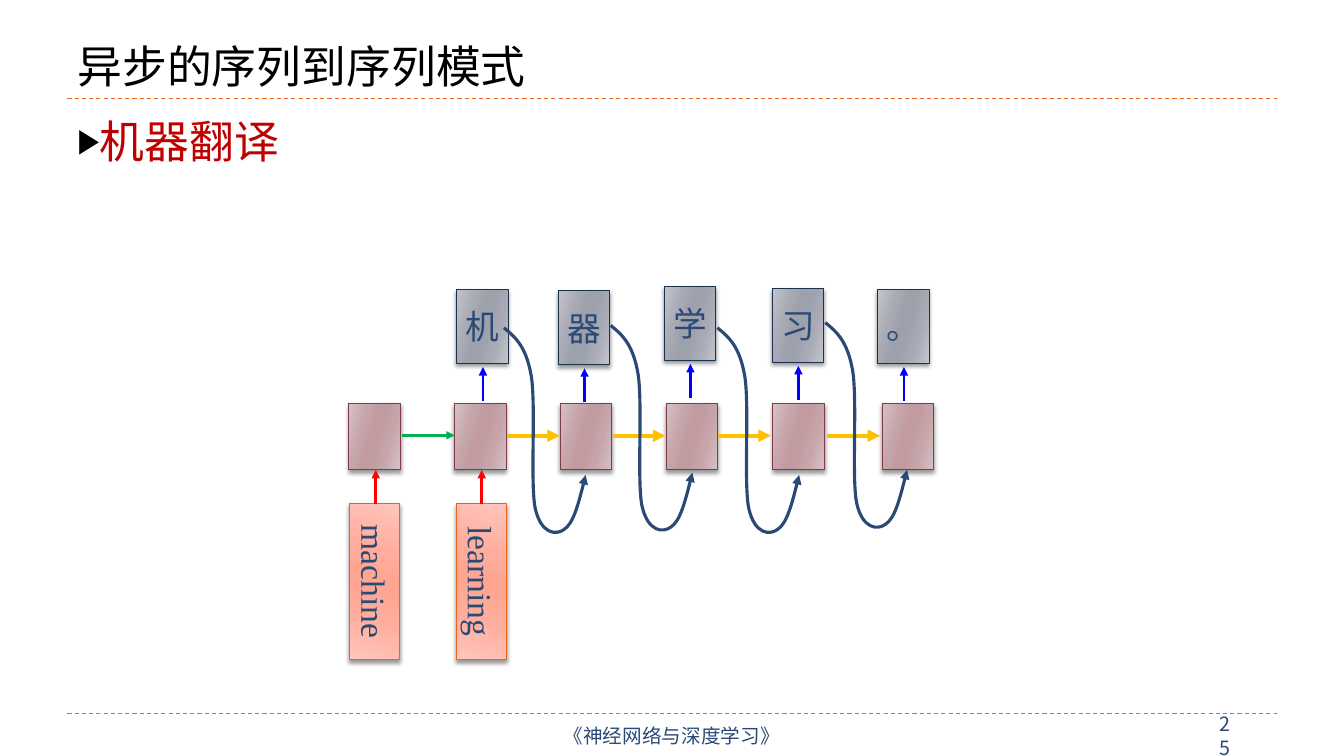
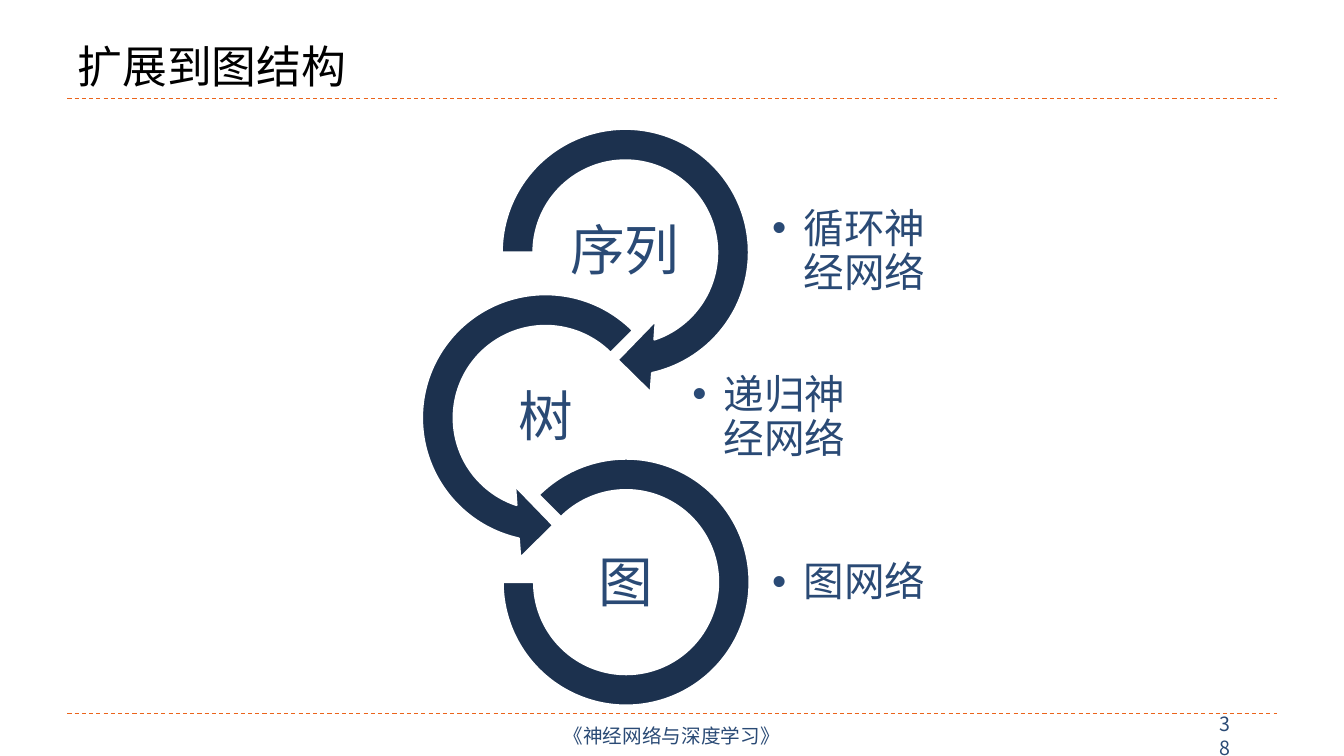
from lxml import etree
from pptx import Presentation
from pptx.dml.color import RGBColor
from pptx.enum.dml import MSO_LINE
from pptx.enum.shapes import MSO_CONNECTOR, MSO_SHAPE
from pptx.enum.text import MSO_ANCHOR, MSO_AUTO_SIZE, PP_ALIGN
from pptx.oxml.ns import qn
from pptx.util import Cm, Pt

TOP, MIDDLE, BOTTOM = MSO_ANCHOR.TOP, MSO_ANCHOR.MIDDLE, MSO_ANCHOR.BOTTOM
LEFT, CENTER = PP_ALIGN.LEFT, PP_ALIGN.CENTER
STRAIGHT, DASH = MSO_CONNECTOR.STRAIGHT, MSO_LINE.DASH
RECTANGLE = MSO_SHAPE.RECTANGLE

INK, NAVY, ORANGE, RED = "2A4A75", "1C314E", "EB641B", "C00000"
HAN, SERIF, SANS = "Noto Sans CJK SC", "Times New Roman", "Arial"
STOPS = (0, 30, 45, 55, 73, 100)  # glossy gradient, light at both ends
color = RGBColor.from_string


def write(box, text, size, font, ink=INK, align=LEFT, anchor=TOP, insets=None, spacing=None, bullet=None):
    """Fill a box with one paragraph; bullet is (sign, indent in cm, size %, colour)."""
    frame = box.text_frame
    frame.word_wrap = True
    frame.auto_size = MSO_AUTO_SIZE.NONE
    frame.vertical_anchor = anchor
    if insets:
        frame.margin_left, frame.margin_top, frame.margin_right, frame.margin_bottom = map(Cm, insets)
    para = frame.paragraphs[0]
    para.alignment = align
    if spacing:
        para.line_spacing = spacing
    if bullet:
        sign, indent, percent, sign_color = bullet
        props = para._p.get_or_add_pPr()
        props.set("marL", str(Cm(indent)))
        props.set("indent", str(-Cm(indent)))
        holder = etree.SubElement(props, qn("a:buClr"))
        etree.SubElement(holder, qn("a:srgbClr"), val=sign_color)
        etree.SubElement(props, qn("a:buSzPct"), val=str(percent * 1000))
        etree.SubElement(props, qn("a:buFont"), typeface=SANS)
        etree.SubElement(props, qn("a:buChar"), char=sign)
    span = para.add_run()
    span.text = text
    span.font.size = Pt(size)
    span.font.color.rgb = color(ink)
    span.font.name = font
    etree.SubElement(span._r.get_or_add_rPr(), qn("a:ea"), typeface=HAN)


def draw_line(page, x1, y1, x2, y2, ink, width, dashed=False):
    """Draw a dashed rule or a solid arrow."""
    link = page.shapes.add_connector(STRAIGHT, Cm(x1), Cm(y1), Cm(x2), Cm(y2))
    link.line.color.rgb = color(ink)
    link.line.width = Pt(width)
    if dashed:
        link.line.dash_style = DASH
    else:
        etree.SubElement(link.line._get_or_add_ln(), qn("a:tailEnd"), type="triangle")
    etree.SubElement(link._element.spPr, qn("a:effectLst"))


deck = Presentation()
deck.slide_width, deck.slide_height = Cm(33.87), Cm(19.05)

# Title, rules and footer of every slide
pages = []
for heading, number in (("异步的序列到序列模式", "25"), ("扩展到图结构", "38")):
    page = deck.slides.add_slide(deck.slide_layouts[5])
    pages.append(page)
    for y in (2.49, 17.98):
        draw_line(page, 1.7, y, 32.18, y, ORANGE, 0.75, dashed=True)
    title = page.shapes.title
    title.left, title.top, title.width, title.height = Cm(1.7), Cm(0.43), Cm(30.48), Cm(2.03)
    write(title, heading, 32, SANS, "000000", anchor=BOTTOM)
    footer = page.shapes.add_textbox(Cm(11.43), Cm(18.03), Cm(11), Cm(1.02))
    write(footer, "《神经网络与深度学习》", 14, HAN, align=CENTER, anchor=MIDDLE, insets=(0, 0, 0, 0))
    page_number = page.shapes.add_textbox(Cm(30.48), Cm(18.11), Cm(1.04), Cm(0.86))
    write(page_number, number, 14, HAN, anchor=MIDDLE)

translation, structures = pages

# Slide 1: topic line
topic = translation.shapes.add_textbox(Cm(1.7), Cm(2.74), Cm(30.48), Cm(1.9))
write(topic, "机器翻译", 32, SERIF, RED, bullet=("▶", 0.43, 76, "000000"))

# Slide 1: glossy boxes for input words, hidden states and output characters
INPUT = (("FFC6BC", "FFAE9E", "FFA693"), ORANGE)
STATE = (("D7C2C5", "C6A5AA", "C19BA0"), "7D3C4A")
OUTPUT = (("C3C5CB", "A7AAB4", "9DA1AC"), NAVY)
words = [(7.47, "machine"), (10.16, "learning")]
states = [8.79, 11.46, 14.12, 16.79, 19.48, 22.23]
outputs = [(11.51, 7.29, "机"), (14.07, 7.32, "器"), (16.74, 7.21, "学"),
           (19.46, 7.26, "习"), (22.12, 7.29, "。")]

glossy = [(x, 14.02, 3.94, 1.27, 90, INPUT, word) for x, word in words]
glossy += [(x, 10.16, 1.3, 1.68, 0, STATE, "") for x in states]
glossy += [(x, y, 1.3, 1.87, 0, OUTPUT, sign) for x, y, sign in outputs]
for x, y, width, height, turn, (tints, edge), text in glossy:
    box = translation.shapes.add_shape(RECTANGLE, Cm(x), Cm(y), Cm(width), Cm(height))
    box.rotation = turn
    box.fill.gradient()
    box.fill.gradient_angle = 344
    stop_list = box._element.spPr.find(".//" + qn("a:gsLst"))
    for stop in list(stop_list):
        stop_list.remove(stop)
    for position, tint in zip(STOPS, tints + tints[::-1]):
        stop = etree.SubElement(stop_list, qn("a:gs"), pos=str(position * 1000))
        etree.SubElement(stop, qn("a:srgbClr"), val=tint)
    box.line.color.rgb = color(edge)
    box.line.width = Pt(0.75)
    box.shadow.inherit = False
    effects = box._element.spPr.find(qn("a:effectLst"))
    shadow = etree.SubElement(effects, qn("a:outerShdw"), blurRad=str(Pt(3)), dist=str(Pt(2)),
                              dir="5400000", rotWithShape="0")
    shade = etree.SubElement(shadow, qn("a:srgbClr"), val="000000")
    etree.SubElement(shade, qn("a:alpha"), val="40000")
    if turn:
        write(box, text, 24, SERIF, align=CENTER)
    elif text:
        write(box, text, 24, SANS, align=CENTER, insets=(0, 0.43, 0, 0))

# Slide 1: straight arrows
for x in (9.47, 12.14):
    draw_line(translation, x, 12.7, x, 11.84, "FF0000", 2)
for x, y, sign in outputs:
    draw_line(translation, x + 0.66, y + 2.82, x + 0.66, y + 1.96, "0000FF", 2)
draw_line(translation, 10.13, 10.97, 11.46, 10.97, "00B050", 2)
for x in (12.78, 15.44, 18.1, 20.85):
    draw_line(translation, x, 10.98, x + 1.33, 10.98, "FFC000", 3)

# Slide 1: curved arrows feeding each output into the next state
bends = [(0.28, 0.23), (0.56, 0.46), (0.69, 1.22), (0.81, 1.98), (0.66, 3.91), (0.79, 4.55),
         (0.94, 5.21), (1.32, 5.23), (1.52, 5.08), (1.75, 4.93), (1.91, 4.32), (2.06, 3.71)]
for x, y in ((12.7, 8.26), (15.39, 8.2), (18.08, 8.26), (20.8, 8.13)):
    builder = translation.shapes.build_freeform(Cm(x), Cm(y))
    builder.add_line_segments([(Cm(x + dx), Cm(y + dy)) for dx, dy in bends], close=False)
    feedback = builder.convert_to_shape()
    outline = feedback._element.spPr.find(".//" + qn("a:path"))
    # Every three points become one Bézier segment
    for index, segment in enumerate(outline.findall(qn("a:lnTo"))):
        if index % 3 == 0:
            curve = etree.SubElement(outline, qn("a:cubicBezTo"))
        curve.append(segment[0])
        outline.remove(segment)
    feedback.fill.background()
    feedback.line.color.rgb = color(INK)
    feedback.line.width = Pt(2.25)
    etree.SubElement(feedback.line._get_or_add_ln(), qn("a:tailEnd"), type="triangle")
    feedback.shadow.inherit = False

# Slide 2: chain of circular arrows, each with a label and a bullet
chain = [
    (MSO_SHAPE.CIRCULAR_ARROW, 12.14, 2.74, 7.24, (0.11, 11.423, 45, 108, 0.125),
     "序列", 13.74, 5.36, "循环神经网络", 19.38, 4.9),
    (MSO_SHAPE.LEFT_CIRCULAR_ARROW, 10.13, 6.91, 7.24, (0.11, 11.423, 63, 189, 0.125),
     "树", 11.76, 9.55, "递归神经网络", 17.37, 9.09),
    (MSO_SHAPE.BLOCK_ARC, 12.67, 11.56, 6.22, (135, 108, 0.127),
     "图", 13.77, 13.74, "图网络", 19.38, 13.26),
]
INSETS = (0.08, 0.08, 0.08, 0.08)
for kind, x, y, size, adjustments, label, label_x, label_y, network, network_x, network_y in chain:
    ring = structures.shapes.add_shape(kind, Cm(x), Cm(y), Cm(size), Cm(size))
    for index, value in enumerate(adjustments):
        ring.adjustments[index] = value
    ring.fill.solid()
    ring.fill.fore_color.rgb = color(NAVY)
    ring.line.color.rgb = color("FFFFFF")
    ring.line.width = Pt(1.5)
    ring.shadow.inherit = False
    network_box = structures.shapes.add_textbox(Cm(network_x), Cm(network_y), Cm(4.34), Cm(2.9))
    write(network_box, network, 29, SERIF, anchor=MIDDLE, insets=INSETS, spacing=0.9,
          bullet=("•", 0.79, 100, INK))
    label_box = structures.shapes.add_textbox(Cm(label_x), Cm(label_y), Cm(4.01), Cm(2.01))
    write(label_box, label, 39, SERIF, align=CENTER, anchor=MIDDLE, insets=INSETS, spacing=0.9)

deck.save("out.pptx")
